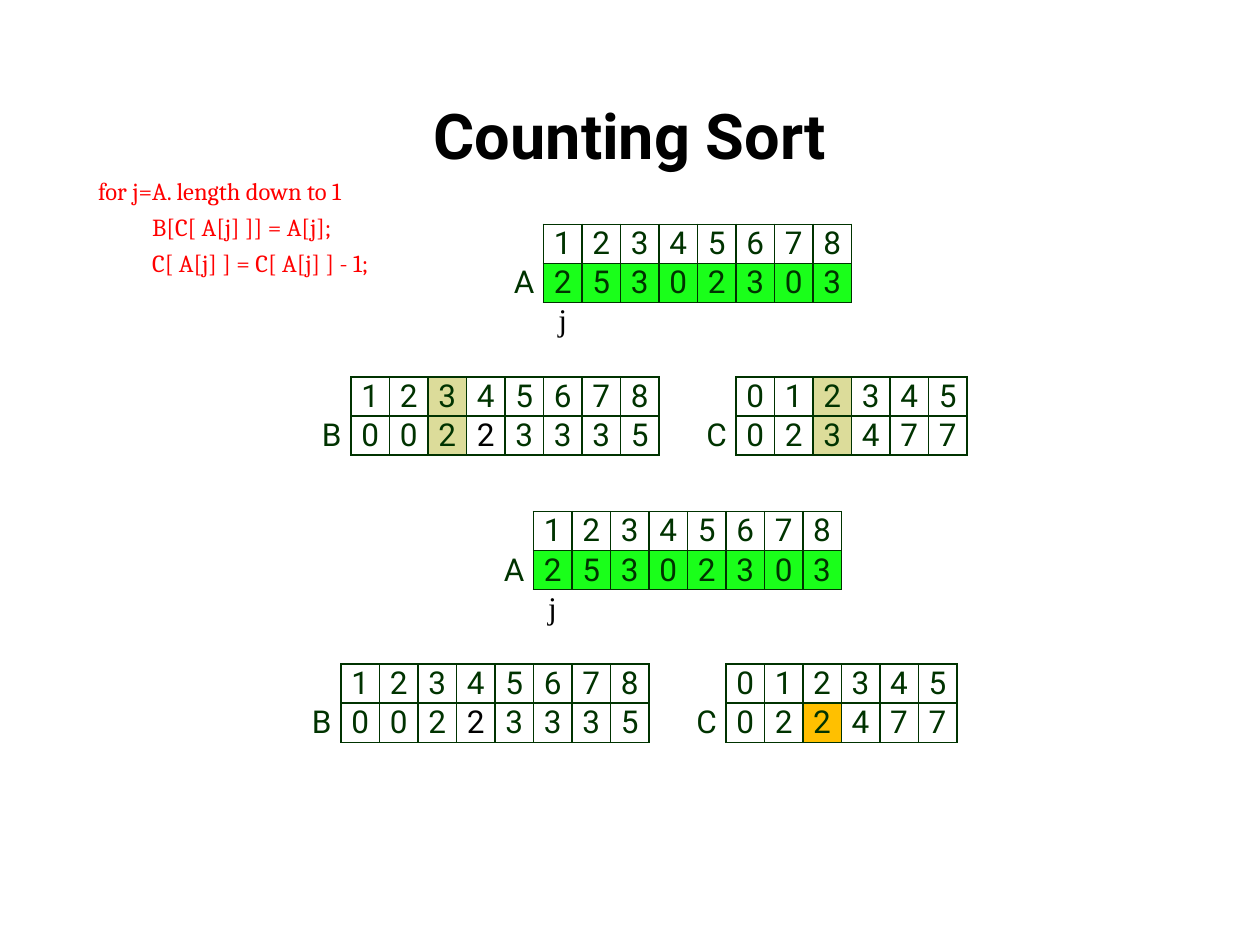
from lxml import etree
from pptx import Presentation
from pptx.dml.color import RGBColor
from pptx.enum.text import MSO_ANCHOR, PP_ALIGN
from pptx.oxml.ns import qn
from pptx.util import Inches, Pt

CENTER, LEFT = PP_ALIGN.CENTER, PP_ALIGN.LEFT
TOP, MIDDLE = MSO_ANCHOR.TOP, MSO_ANCHOR.MIDDLE

THEME = {
    "title": {"name": "Roboto", "size": Pt(36), "bold": True, "color": "000000"},
    "code": {"name": "Cambria", "size": Pt(14), "color": "FF0000"},
    "cell": {"name": "Roboto", "size": Pt(18), "color": "003300"},
    "moved": {"name": "Roboto", "size": Pt(18), "color": "000000"},
    "index": {"name": "Times New Roman", "size": Pt(18), "color": "000000"},
    "border": "003300", "input": "1AFF1A", "current": "DCDC9A", "updated": "FFC000",
}

# Content
TITLE = "Counting Sort"
CODE = [  # text, left indent in inches
    ("for j=A. length down to 1", 0.01),
    ("B[C[ A[j] ]] = A[j];", 0.44),
    ("C[ A[j] ] = C[ A[j] ] - 1;", 0.44),
]
# Each array: label, index row, value row, top row and first column in the grid
A = ("A", "12345678", "25302303", 0, 6)
B = ("B", "12345678", "00223335", 4, 1)
C_BEFORE = ("C", "012345", "023477", 4, 11)
C_AFTER = ("C", "012345", "022477", 4, 11)
INPUT_FILL = {(1, col): "input" for col in range(6, 14)}
CURRENT_FILL = {(row, col): "current" for row in (4, 5) for col in (3, 13)}
STEPS = [  # left, top, arrays, highlighted cells
    (2.48, 1.78, (A, B, C_BEFORE), {**INPUT_FILL, **CURRENT_FILL}),
    (2.4, 4.06, (A, B, C_AFTER), {**INPUT_FILL, (5, 13): "updated"}),
]
J_CELL, MOVED_CELL = (2, 6), (5, 4)

# Grid
COLUMNS, TABLE_W, TABLE_H = 17, 5.2, 1.85
ROW_HEIGHTS = [0.28] * 5 + [0.16]


def style_font(font, style):
    for key, value in THEME[style].items():
        if key == "color":
            font.color.rgb = RGBColor.from_string(value)
        else:
            setattr(font, key, value)


def add_line(paragraph, text, style, align):
    paragraph.alignment = align
    run = paragraph.add_run()
    run.text = text
    style_font(run.font, style)


def add_text_box(slide, place, anchor):
    frame = slide.shapes.add_textbox(*map(Inches, place)).text_frame
    frame.word_wrap = True
    frame.vertical_anchor = anchor
    return frame


def draw_borders(cell, sides):
    properties = cell._tc.get_or_add_tcPr()
    for side in "LRTB":
        line = etree.SubElement(properties, qn(f"a:ln{side}"), w=str(Pt(1)))
        if side in sides:
            fill = etree.SubElement(line, qn("a:solidFill"))
            etree.SubElement(fill, qn("a:srgbClr"), val=THEME["border"])
        else:
            etree.SubElement(line, qn("a:noFill"))


def plan_cells(arrays):
    """Return the text and the border sides of every cell in use."""
    texts, borders = {J_CELL: "j"}, {}

    def mark(row, col, sides):
        if 0 <= row < len(ROW_HEIGHTS) and 0 <= col < COLUMNS:
            borders[row, col] = borders.get((row, col), "") + sides

    for label, indices, values, top, first in arrays:
        texts[top + 1, first - 1] = label
        end = first + len(values)
        for row, digits in ((top, indices), (top + 1, values)):
            mark(row, first - 1, "R")
            mark(row, end, "LR")
            for col, digit in enumerate(digits, first):
                texts[row, col] = digit
                mark(row, col, "LRTB")
        for col in range(first, end):
            mark(top - 1, col, "B")
            mark(top + 2, col, "TB")
    return texts, borders


def add_step(slide, left, top, arrays, fills):
    place = map(Inches, (left, top, TABLE_W, TABLE_H))
    frame = slide.shapes.add_table(len(ROW_HEIGHTS), COLUMNS, *place)
    table = frame.table
    table.first_row = table.horz_banding = False
    for column in table.columns:
        column.width = Inches(TABLE_W / COLUMNS)
    for row, height in zip(table.rows, ROW_HEIGHTS):
        row.height = Inches(height)
    frame.height = Inches(TABLE_H)

    texts, borders = plan_cells(arrays)
    special = {J_CELL: "index", MOVED_CELL: "moved"}
    for row in range(len(ROW_HEIGHTS)):
        for col in range(COLUMNS):
            spot, cell = (row, col), table.cell(row, col)
            for side in ("left", "right", "top"):
                setattr(cell, f"margin_{side}", Inches(0.01))
            cell.margin_bottom = 0
            draw_borders(cell, borders.get(spot, ""))
            if spot in fills:
                cell.fill.solid()
                cell.fill.fore_color.rgb = RGBColor.from_string(THEME[fills[spot]])
            else:
                cell.fill.background()
            paragraph = cell.text_frame.paragraphs[0]
            if spot in texts:
                add_line(paragraph, texts[spot], special.get(spot, "cell"), CENTER)
            else:  # keep blank cells from stretching their row
                etree.SubElement(paragraph._p, qn("a:endParaRPr"), sz="1000")


def main():
    deck = Presentation()
    deck.slide_width, deck.slide_height = Inches(10), Inches(7.5)
    slide = deck.slides.add_slide(deck.slide_layouts[6])

    # Title
    heading = add_text_box(slide, (0.5, 0.44, 9, 1.25), MIDDLE)
    add_line(heading.paragraphs[0], TITLE, "title", CENTER)

    # Arrays before and after the step
    for step in STEPS:
        add_step(slide, *step)

    # Pseudocode
    listing = add_text_box(slide, (0.67, 1.3, 8.43, 0.93), TOP)
    for number, (text, indent) in enumerate(CODE):
        paragraph = listing.add_paragraph() if number else listing.paragraphs[0]
        add_line(paragraph, text, "code", LEFT)
        paragraph.line_spacing = 1.21
        paragraph.space_before = Pt(0.1)
        paragraph._p.get_or_add_pPr().set("marL", str(Inches(indent)))

    deck.save("out.pptx")


if __name__ == "__main__":
    main()
